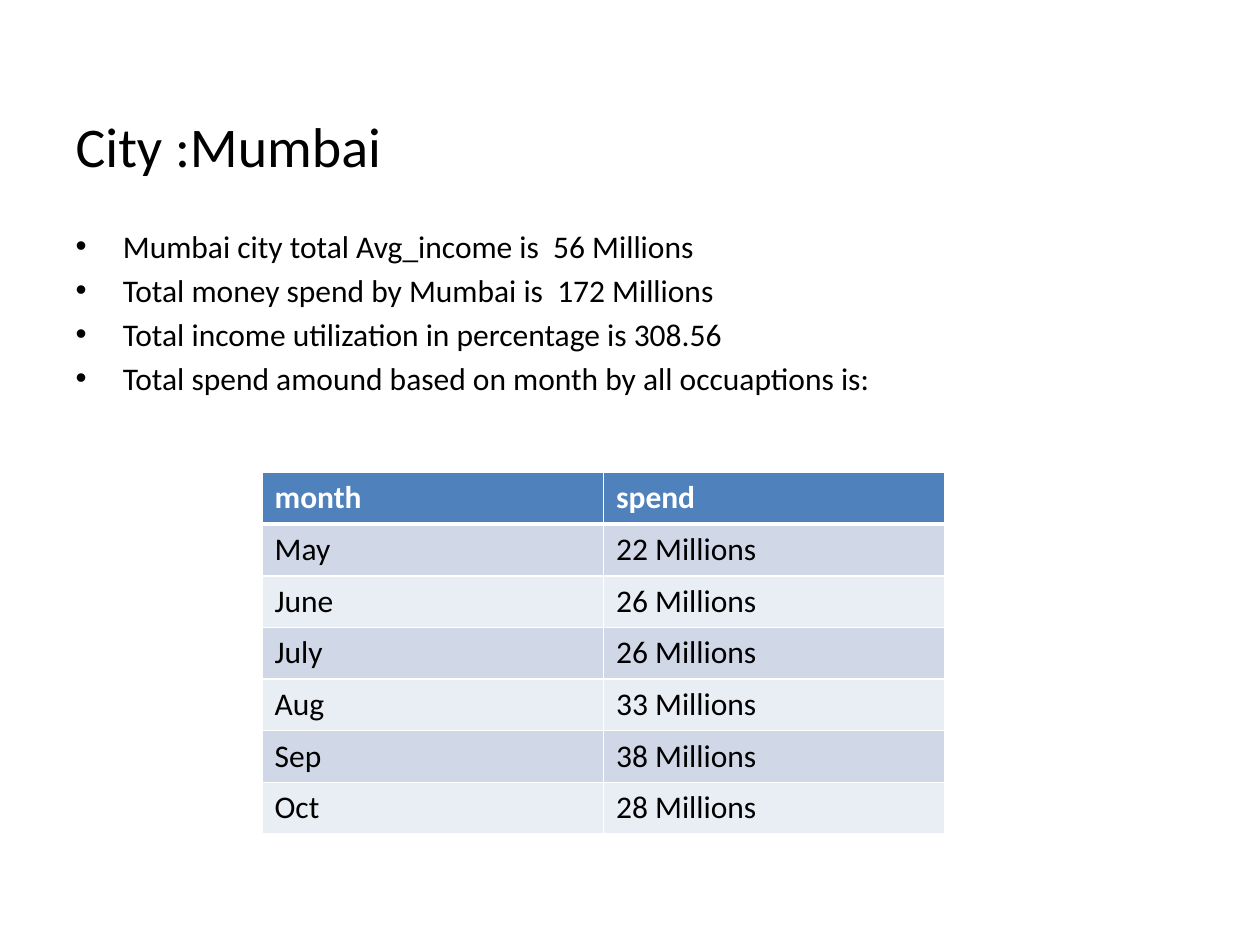
import pptx
import pptx.dml.color
import pptx.enum.text
import pptx.oxml
import pptx.oxml.ns
import pptx.util

Inches = pptx.util.Inches
Pt = pptx.util.Pt

COLORS = {
    "text": "000000",
    "white": "FFFFFF",
    "header": "4F81BD",
    "odd_row": "D0D8E8",
    "even_row": "E9EDF4",
}
BULLETS = [
    "Mumbai city total Avg_income is  56 Millions",
    "Total money spend by Mumbai is  172 Millions",
    "Total income utilization in percentage is 308.56",
    "Total spend amound based on month by all occuaptions is:",
]
SPENDING = [
    ("month", "spend"),
    ("May", "22 Millions"),
    ("June", "26 Millions"),
    ("July", "26 Millions"),
    ("Aug", "33 Millions"),
    ("Sep", "38 Millions"),
    ("Oct", "28 Millions"),
]


class CityPage:
    font = "Calibri"
    title_size = 32
    text_size = 18

    def __init__(self, deck):
        self.page = deck.slides.add_slide(deck.slide_layouts[1])

    def add_text(self, para, text, size, color="text", bold=False):
        span = para.add_run()
        span.text = text
        span.font.name = self.font
        span.font.size = Pt(size)
        span.font.bold = bold
        span.font.color.rgb = pptx.dml.color.RGBColor.from_string(COLORS[color])

    def place(self, box, left, top, width, height):
        box.left, box.top = Inches(left), Inches(top)
        box.width, box.height = Inches(width), Inches(height)
        box.text_frame.auto_size = pptx.enum.text.MSO_AUTO_SIZE.NONE

    def title(self, text, *area):
        box = self.page.shapes.title
        self.place(box, *area)
        box.text_frame.vertical_anchor = pptx.enum.text.MSO_ANCHOR.MIDDLE
        para = box.text_frame.paragraphs[0]
        para.alignment = pptx.enum.text.PP_ALIGN.LEFT
        self.add_text(para, text, self.title_size)

    def bullets(self, lines, *area):
        box = self.page.placeholders[1]
        self.place(box, *area)
        frame = box.text_frame
        for index, line in enumerate(lines):
            para = frame.add_paragraph() if index else frame.paragraphs[0]
            self.add_text(para, line, self.text_size)

    def borders(self, cell, widths):
        properties = cell._tc.get_or_add_tcPr()
        for side, width in widths.items():
            properties.append(pptx.oxml.parse_xml(
                f'<a:ln{side} {pptx.oxml.ns.nsdecls("a")} w="{Pt(width)}">'
                f'<a:solidFill><a:srgbClr val="{COLORS["white"]}"/></a:solidFill>'
                f'</a:ln{side}>'
            ))

    def table(self, rows, left, top, width, row_height):
        table = self.page.shapes.add_table(
            len(rows), len(rows[0]), Inches(left), Inches(top),
            Inches(width), Inches(row_height * len(rows)),
        ).table
        for row, values in enumerate(rows):
            header = row == 0
            fill = "header" if header else ("odd_row" if row % 2 else "even_row")
            for column, value in enumerate(values):
                cell = table.cell(row, column)
                self.borders(cell, {
                    "L": 1, "R": 1, "T": 3 if row == 1 else 1, "B": 3 if header else 1,
                })
                cell.fill.solid()
                cell.fill.fore_color.rgb = pptx.dml.color.RGBColor.from_string(COLORS[fill])
                self.add_text(
                    cell.text_frame.paragraphs[0], value, self.text_size,
                    "white" if header else "text", header,
                )


def main():
    deck = pptx.Presentation()
    deck.slide_width, deck.slide_height = Inches(10), Inches(7.5)
    city = CityPage(deck)
    city.title("City :Mumbai", 0.5, 0.75, 3.08, 0.8)
    city.bullets(BULLETS, 0.5, 1.75, 9, 4.95)
    city.table(SPENDING, 2.08, 3.75, 5.42, 0.41)
    deck.save("out.pptx")


if __name__ == "__main__":
    main()
